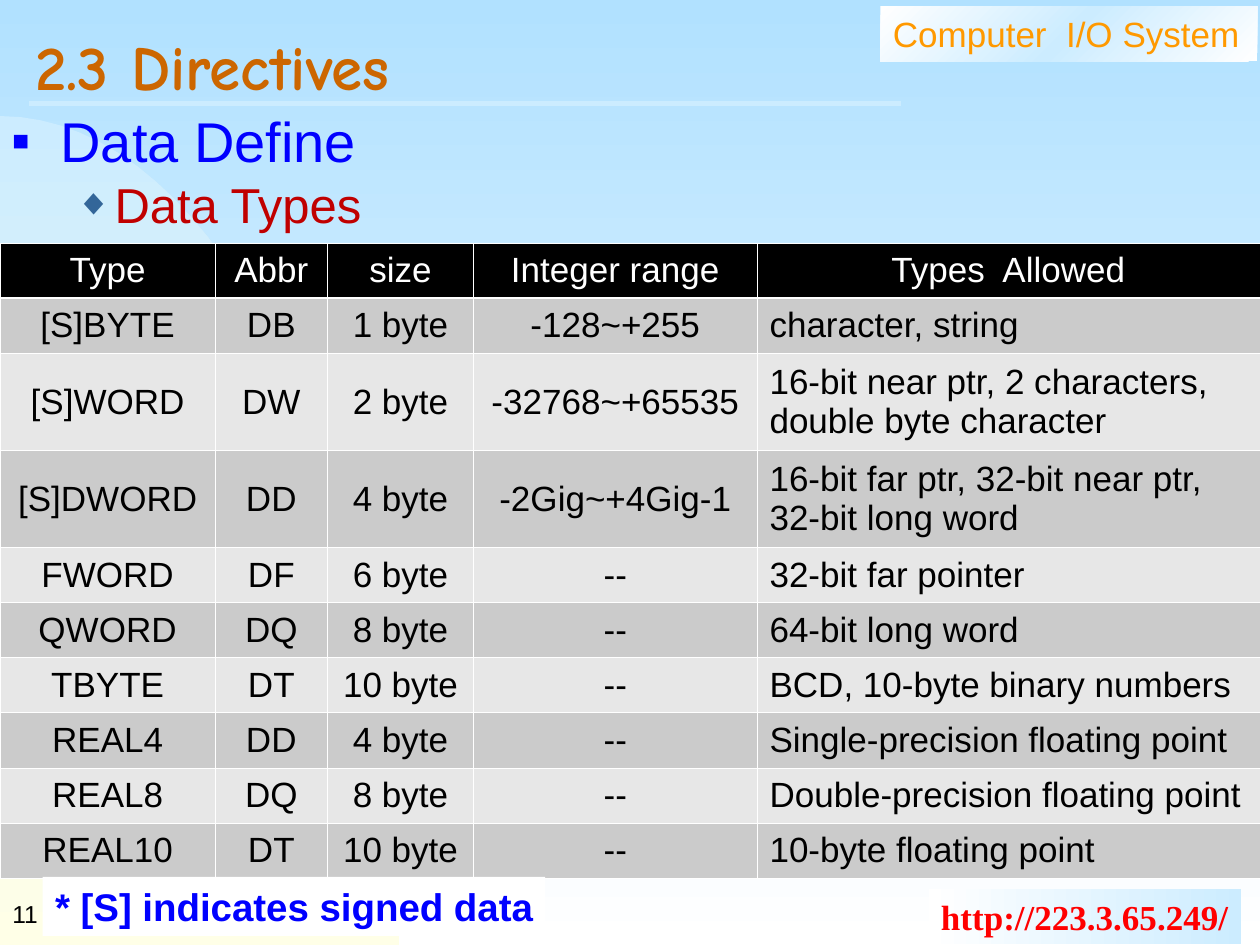
from copy import deepcopy

from lxml import etree
from pptx import Presentation
from pptx.dml.color import RGBColor
from pptx.enum import shapes, text
from pptx.oxml.ns import qn
from pptx.util import Cm, Pt

WHITE = RGBColor(0xFF, 0xFF, 0xFF)
BLACK = RGBColor(0x00, 0x00, 0x00)
SKY = RGBColor(0xB1, 0xE1, 0xFF)
PALE_BLUE = RGBColor(0xCC, 0xEC, 0xFF)
CREAM = RGBColor(0xFF, 0xFF, 0xE7)
ORANGE = RGBColor(0xFF, 0x99, 0x00)
BROWN = RGBColor(0xCC, 0x66, 0x00)
BLUE = RGBColor(0x00, 0x00, 0xFF)
STEEL = RGBColor(0x33, 0x66, 0x99)
RED = RGBColor(0xFF, 0x00, 0x00)
DARK_RED = RGBColor(0xC0, 0x00, 0x00)
DARK_GREY = RGBColor(0xCB, 0xCB, 0xCB)
LIGHT_GREY = RGBColor(0xE7, 0xE7, 0xE7)

COLUMN_WIDTHS = (4.34, 2.26, 2.95, 5.71, 10.14)
ROW_HEIGHT, TALL_ROW_HEIGHT = 1.11, 1.96
TALL_ROWS = (2, 3)
DATA_TYPES = (
    ("Type", "Abbr", "size", "Integer range", "Types  Allowed"),
    ("[S]BYTE", "DB", "1 byte", "-128~+255", "character, string"),
    ("[S]WORD", "DW", "2 byte", "-32768~+65535",
     "16-bit near ptr, 2 characters, double byte character"),
    ("[S]DWORD", "DD", "4 byte", "-2Gig~+4Gig-1",
     "16-bit far ptr, 32-bit near ptr,  32-bit long word"),
    ("FWORD", "DF", "6 byte", "--", "32-bit far pointer"),
    ("QWORD", "DQ", "8 byte", "--", "64-bit long word"),
    ("TBYTE", "DT", "10 byte", "--", "BCD, 10-byte binary numbers"),
    ("REAL4", "DD", "4 byte", "--", "Single-precision floating point"),
    ("REAL8", "DQ", "8 byte", "--", "Double-precision floating point"),
    ("REAL10", "DT", "10 byte", "--", "10-byte floating point"),
)


def set_gradient(fill, colors, angle):
    """Spread the colours evenly; the angle runs counter-clockwise."""
    fill.gradient()
    fill.gradient_angle = angle
    first = fill.gradient_stops[0]._gs
    for _ in colors[2:]:
        first.addnext(deepcopy(first))
    for index, (stop, color) in enumerate(zip(fill.gradient_stops, colors)):
        stop.position = index / (len(colors) - 1)
        stop.color.rgb = color


def format_paragraph(paragraph, size, color, font="Arial", bold=False):
    for run in paragraph.runs:
        run.font.name = font
        run.font.size = Pt(size)
        run.font.bold = bold
        run.font.color.rgb = color


def add_curve(slide):
    """Corner shape bounded by a Bezier arc."""
    controls = ((0, 2.34), (4.45, 2.34), (8.05, 9.83), (8.05, 19.05))
    weights = (1, 3, 3, 1)
    steps = 32
    points = []
    for step in range(steps + 1):
        t = step / steps
        factors = [w * t**i * (1 - t)**(3 - i) for i, w in enumerate(weights)]
        points.append(tuple(
            Cm(sum(f * control[axis] for f, control in zip(factors, controls)))
            for axis in (0, 1)))
    builder = slide.shapes.build_freeform(*points[0])
    builder.add_line_segments(points[1:] + [(0, Cm(19.05))], close=True)
    curve = builder.convert_to_shape()
    curve.shadow.inherit = False
    curve.line.fill.background()
    set_gradient(curve.fill, (PALE_BLUE, CREAM), 270)


def add_label(slide, box, words, size, color, wrap=True, **font):
    """Filled-in rectangle with left-aligned text; the caller sets its fill."""
    label = slide.shapes.add_shape(
        shapes.MSO_SHAPE.RECTANGLE, *map(Cm, box))
    label.shadow.inherit = False
    label.line.fill.background()
    frame = label.text_frame
    frame.word_wrap = wrap
    frame.vertical_anchor = text.MSO_ANCHOR.TOP
    frame.text = words
    frame.paragraphs[0].alignment = text.PP_ALIGN.LEFT
    format_paragraph(frame.paragraphs[0], size, color, **font)
    return label


def add_text(slide, box, words, anchor=text.MSO_ANCHOR.MIDDLE, wrap=True):
    frame = slide.shapes.add_textbox(*map(Cm, box)).text_frame
    frame.word_wrap = wrap
    frame.vertical_anchor = anchor
    frame.text = words
    return frame


def set_bullet(paragraph, symbol, color, percent, left, hanging):
    properties = paragraph._p.get_or_add_pPr()
    properties.set("marL", str(Cm(left)))
    properties.set("indent", str(-Cm(hanging)))
    bullet_color = etree.SubElement(properties, qn("a:buClr"))
    etree.SubElement(bullet_color, qn("a:srgbClr"), val=str(color))
    etree.SubElement(properties, qn("a:buSzPct"), val=str(percent * 1000))
    etree.SubElement(properties, qn("a:buFont"), typeface="Arial")
    etree.SubElement(properties, qn("a:buChar"), char=symbol)


def add_rule(slide):
    rule = slide.shapes.add_connector(
        shapes.MSO_CONNECTOR.STRAIGHT, Cm(0.58), Cm(2.09), Cm(18.16), Cm(2.09))
    rule.line.color.rgb = PALE_BLUE
    rule.line.width = Pt(3)
    etree.SubElement(rule._element.spPr, qn("a:effectLst"))


def set_borders(cell, top, bottom):
    """White borders, with the top and bottom widths given in points."""
    properties = cell._tc.get_or_add_tcPr()
    widths = (("a:lnL", 0.45), ("a:lnR", 0.45), ("a:lnT", top), ("a:lnB", bottom))
    for position, (tag, width) in enumerate(widths):
        line = etree.Element(qn(tag), w=str(Pt(width)))
        fill = etree.SubElement(line, qn("a:solidFill"))
        etree.SubElement(fill, qn("a:srgbClr"), val=str(WHITE))
        properties.insert(position, line)


def add_data_table(slide):
    heights = [TALL_ROW_HEIGHT if row in TALL_ROWS else ROW_HEIGHT
               for row in range(len(DATA_TYPES))]
    table = slide.shapes.add_table(
        len(DATA_TYPES), len(COLUMN_WIDTHS), 0, Cm(4.9),
        Cm(sum(COLUMN_WIDTHS)), Cm(sum(heights))).table
    table.horz_banding = False
    for column, width in zip(table.columns, COLUMN_WIDTHS):
        column.width = Cm(width)
    for row, height in zip(table.rows, heights):
        row.height = Cm(height)
    for r, values in enumerate(DATA_TYPES):
        for c, value in enumerate(values):
            cell = table.cell(r, c)
            cell.text = value
            cell.vertical_anchor = text.MSO_ANCHOR.MIDDLE
            cell.fill.solid()
            cell.fill.fore_color.rgb = (
                BLACK if r == 0 else DARK_GREY if r % 2 else LIGHT_GREY)
            set_borders(cell, 1.47 if r == 1 else 0.45, 1.47 if r == 0 else 0.45)
            paragraph = cell.text_frame.paragraphs[0]
            is_description = r > 0 and c == len(values) - 1
            paragraph.alignment = (text.PP_ALIGN.LEFT if is_description
                                   else text.PP_ALIGN.CENTER)
            format_paragraph(paragraph, 20, BLACK if r else WHITE)


def add_outline(slide):
    frame = add_text(slide, (0, 2.03, 24.74, 15.24), "Data Define\nData Types",
                     anchor=text.MSO_ANCHOR.TOP)
    topic, subtopic = frame.paragraphs
    set_bullet(topic, "■", BLUE, 50, 0.97, 0.97)
    format_paragraph(topic, 32, BLUE)
    subtopic.level = 1
    set_bullet(subtopic, "◆", STEEL, 75, 2.06, 0.79)
    format_paragraph(subtopic, 28, DARK_RED)


def main():
    presentation = Presentation()
    presentation.slide_width, presentation.slide_height = Cm(25.4), Cm(19.05)
    slide = presentation.slides.add_slide(presentation.slide_layouts[6])
    set_gradient(slide.background.fill, (SKY, WHITE), 270)

    add_curve(slide)
    course = add_label(slide, (17.75, 0.13, 7.6, 1.11),
                       "Computer  I/O System", 20, ORANGE)
    set_gradient(course.fill, (WHITE, PALE_BLUE, WHITE), 315)
    address = add_label(slide, (18.72, 17.93, 6.3, 1.11), "http://223.3.65.249/",
                        20, RED, wrap=False, font="Times New Roman", bold=True)
    set_gradient(address.fill, (WHITE, PALE_BLUE), 0)
    add_rule(slide)

    title = add_text(slide, (0.46, 0.53, 24.26, 1.96), "2.3 Directives").paragraphs[0]
    title.line_spacing = 0.7
    format_paragraph(title, 36, BROWN, font="Comic Neue", bold=True)
    add_outline(slide)
    number = add_text(slide, (0, 17.78, 5.28, 1.27), "11")
    format_paragraph(number.paragraphs[0], 14, BLACK)

    add_data_table(slide)
    note = add_label(slide, (0.86, 17.68, 10.13, 1.19),
                     "* [S] indicates signed data", 22, BLUE, wrap=False, bold=True)
    note.fill.solid()
    note.fill.fore_color.rgb = WHITE
    presentation.save("out.pptx")


if __name__ == "__main__":
    main()
